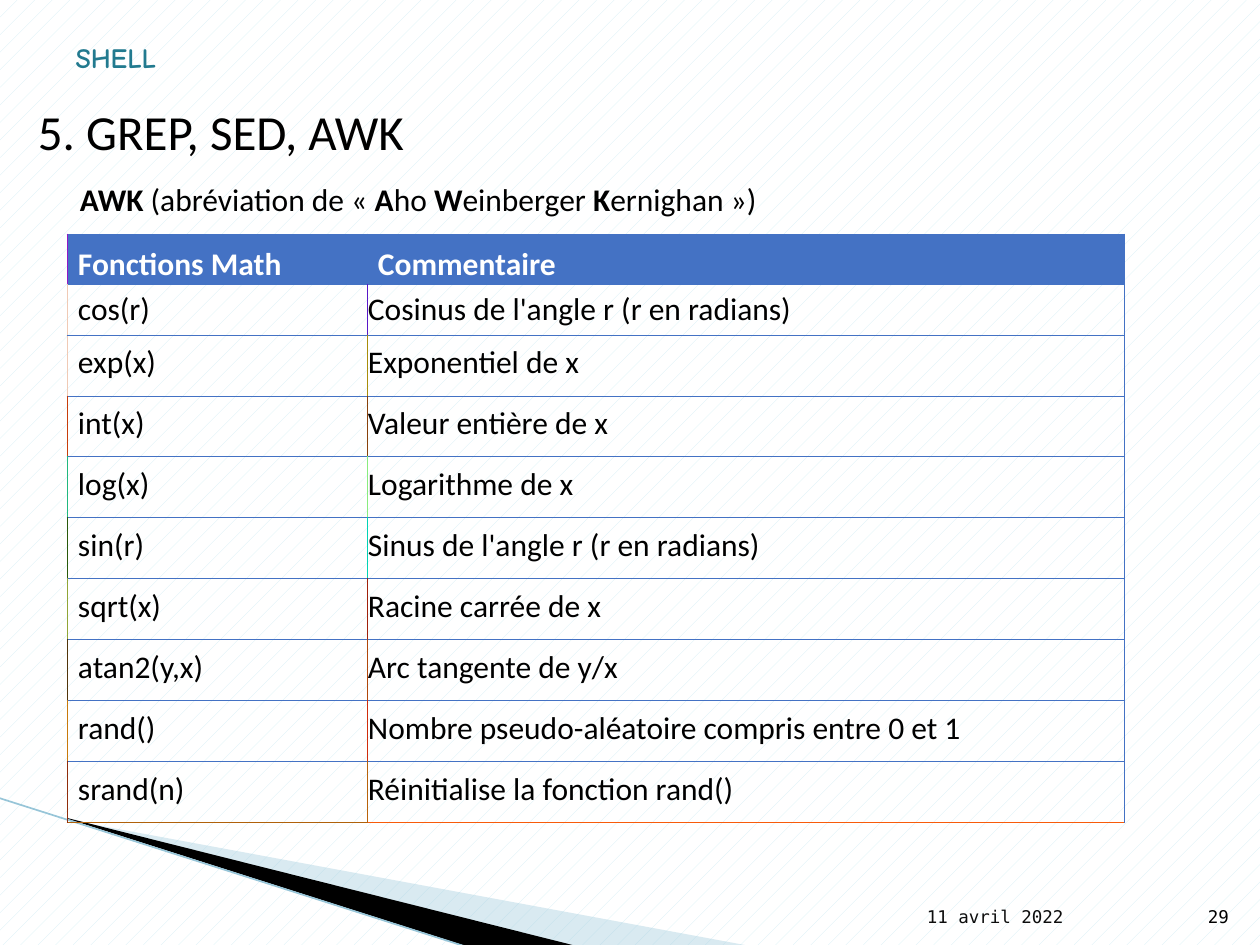
from lxml import etree
from pptx import Presentation
from pptx import util as u
from pptx.dml.color import RGBColor
from pptx.enum import dml, text
from pptx.oxml import ns

PX = 914400 / 126
BLUE, BLACK, WHITE = "4472C4", "000000", "FFFFFF"
SIDES = {"L": "left", "R": "right", "T": "top", "B": "bottom"}

# function, comment, colour of the left border, colour of the middle border
FUNCTIONS = [
    ("cos(r)", "Cosinus de l'angle r (r en radians)", "F0CAB5", "5817C7"),
    ("exp(x)", "Exponentiel de x", "F0CAB5", "A88D0A"),
    ("int(x)", "Valeur entière de x", "C83D0A", "88410A"),
    ("log(x)", "Logarithme de x", "20B87E", "88EC7E"),
    ("sin(r)", "Sinus de l'angle r (r en radians)", "28590A", "00D3B5"),
    ("sqrt(x)", "Racine carrée de x", "90A536", "A0200A"),
    ("atan2(y,x)", "Arc tangente de y/x", "50340A", "B0460A"),
    ("rand()", "Nombre pseudo-aléatoire compris entre 0 et 1", "C8790A", "D02C0A"),
    ("srand(n)", "Réinitialise la fonction rand()", "902D0A", "B8620A"),
]


def px(*lengths):
    return [u.Emu(round(length * PX)) for length in lengths]


def rgb(code):
    return RGBColor.from_string(code)


def child(parent, tag, **attributes):
    return etree.SubElement(parent, ns.qn(tag), attributes)


class SlideBuilder:
    def __init__(self, slide):
        self.slide = slide
        self.style = {"name": "Calibri", "size": 18, "color": BLACK, "bold": False}

    def background(self, front, back):
        fill = self.slide.background.fill
        fill.patterned()
        fill.pattern = dml.MSO_PATTERN.PERCENT_5
        fill.fore_color.rgb, fill.back_color.rgb = rgb(front), rgb(back)

    def add_spans(self, frame, spans, align="LEFT", **changes):
        """Fill the first paragraph with (words, bold) spans or with one string."""
        style = {**self.style, **changes}
        if isinstance(spans, str):
            spans = [(spans, style["bold"])]
        para = frame.paragraphs[0]
        para.alignment = text.PP_ALIGN[align]
        for words, bold in spans:
            span = para.add_run()
            span.text = words
            values = {"name": style["name"], "size": u.Pt(style["size"]), "bold": bold}
            for key, value in values.items():
                setattr(span.font, key, value)
            span.font.color.rgb = rgb(style["color"])

    def format_frame(self, frame, anchor, side_inset):
        values = {"word_wrap": True, "auto_size": text.MSO_AUTO_SIZE.NONE,
                  "vertical_anchor": text.MSO_ANCHOR[anchor]}
        for side in SIDES.values():
            inset = 6 if side in ("top", "bottom") else side_inset
            values["margin_" + side] = px(inset)[0]
        for key, value in values.items():
            setattr(frame, key, value)

    def title(self, place, words, **changes):
        title = self.slide.shapes.title
        title.left, title.top, title.width, title.height = px(*place)
        self.format_frame(title.text_frame, "TOP", 13)
        self.add_spans(title.text_frame, words, **changes)

    def label(self, place, spans, anchor="TOP", side_inset=13, **changes):
        box = self.slide.shapes.add_textbox(*px(*place))
        self.format_frame(box.text_frame, anchor, side_inset)
        self.add_spans(box.text_frame, spans, **changes)

    def outline(self, points, color, opacity=100):
        builder = self.slide.shapes.build_freeform(*points[0], scale=PX)
        builder.add_line_segments(points[1:], close=True)
        shape = builder.convert_to_shape()
        shape.shadow.inherit = False
        shape.fill.solid()
        shape.fill.fore_color.rgb = rgb(color)
        shape.line.fill.background()
        if opacity < 100:
            tint = shape._element.spPr.find(".//" + ns.qn("a:srgbClr"))
            child(tint, "a:alpha", val=str(opacity * 1000))

    def line(self, start, end, color, width):
        line = self.slide.shapes.add_connector(1, *px(*start, *end))
        line.line.color.rgb = rgb(color)
        line.line.width = u.Pt(width)
        child(line._element.spPr, "a:effectLst")

    def cell(self, cell, words, borders, insets, anchor="MIDDLE", fill=None, **changes):
        """Borders and insets are given in the order left, right, top, bottom."""
        properties = cell._tc.get_or_add_tcPr()
        for side, color in zip(SIDES, borders):
            border = child(properties, "a:ln" + side, w=str(u.Pt(0.5)))
            child(child(border, "a:solidFill"), "a:srgbClr", val=color)
        if fill:
            cell.fill.solid()
            cell.fill.fore_color.rgb = rgb(fill)
        else:
            cell.fill.background()
        for side, inset in zip(SIDES.values(), px(*insets)):
            setattr(cell, "margin_" + side, inset)
        cell.vertical_anchor = text.MSO_ANCHOR[anchor]
        self.add_spans(cell.text_frame, words, **changes)

    def table(self, corner, widths, heights, headings, rows):
        place = px(*corner, sum(widths), sum(heights))
        table = self.slide.shapes.add_table(len(heights), len(widths), *place).table
        table.first_row = table.horz_banding = False
        for column, width in zip(table.columns, px(*widths)):
            column.width = width
        for row, height in zip(table.rows, px(*heights)):
            row.height = height
        for c, heading in enumerate(headings):
            left = BLUE if c else "9018C7"
            self.cell(table.cell(0, c), heading, (left, BLUE, BLUE, BLUE), (11, 1, 1, 0),
                      anchor="BOTTOM", fill=BLUE, color=WHITE, bold=True)
        for r, (name, comment, left, middle) in enumerate(rows, 1):
            last = r == len(rows)
            foot = 0 if r == 1 else 6
            self.cell(table.cell(r, 0), name,
                      (left, middle, BLUE, "B0610A" if last else BLUE), (11, 1, 1, foot))
            self.cell(table.cell(r, 1), comment,
                      (middle, BLUE, BLUE, "F85B0A" if last else BLUE), (1, 1, 1, foot))


def main():
    deck = Presentation()
    deck.slide_width, deck.slide_height = px(1260, 945)
    page = SlideBuilder(deck.slides.add_slide(deck.slide_layouts[5]))
    page.background("D3EEF5", WHITE)

    page.outline([(69, 820), (750, 946), (575, 946), (69, 819)], "A0CBDC", opacity=40)
    page.outline([(67, 818), (576, 946), (469, 947), (68, 819)], BLACK)
    page.line((-1, 798), (467, 947), "97C5D8", 0.95)

    footer = {"anchor": "BOTTOM", "name": "DejaVu Sans Mono", "size": 10}
    page.label((927, 883, 265, 50), "11 avril 2022", side_inset=0, color="0D0D0D", **footer)
    page.label((1192, 883, 50, 50), "29", align="RIGHT", **footer)

    page.title((25, 95, 1206, 71), "5. GREP, SED, AWK", size=28)
    page.label((39, 30, 130, 50), "SHELL", anchor="BOTTOM", align="RIGHT",
               name="Comic Neue", size=16, color="227A8F", bold=True)
    page.label((67, 174, 905, 50), [
        ("AWK", True), (" (abréviation de « ", False), ("A", True), ("ho ", False),
        ("W", True), ("einberger ", False), ("K", True), ("ernighan »)", False)])

    page.table((67, 234), (300, 757), [50, 51] + [61] * 8,
               ("Fonctions Math", "Commentaire"), FUNCTIONS)
    deck.save("out.pptx")


if __name__ == "__main__":
    main()
